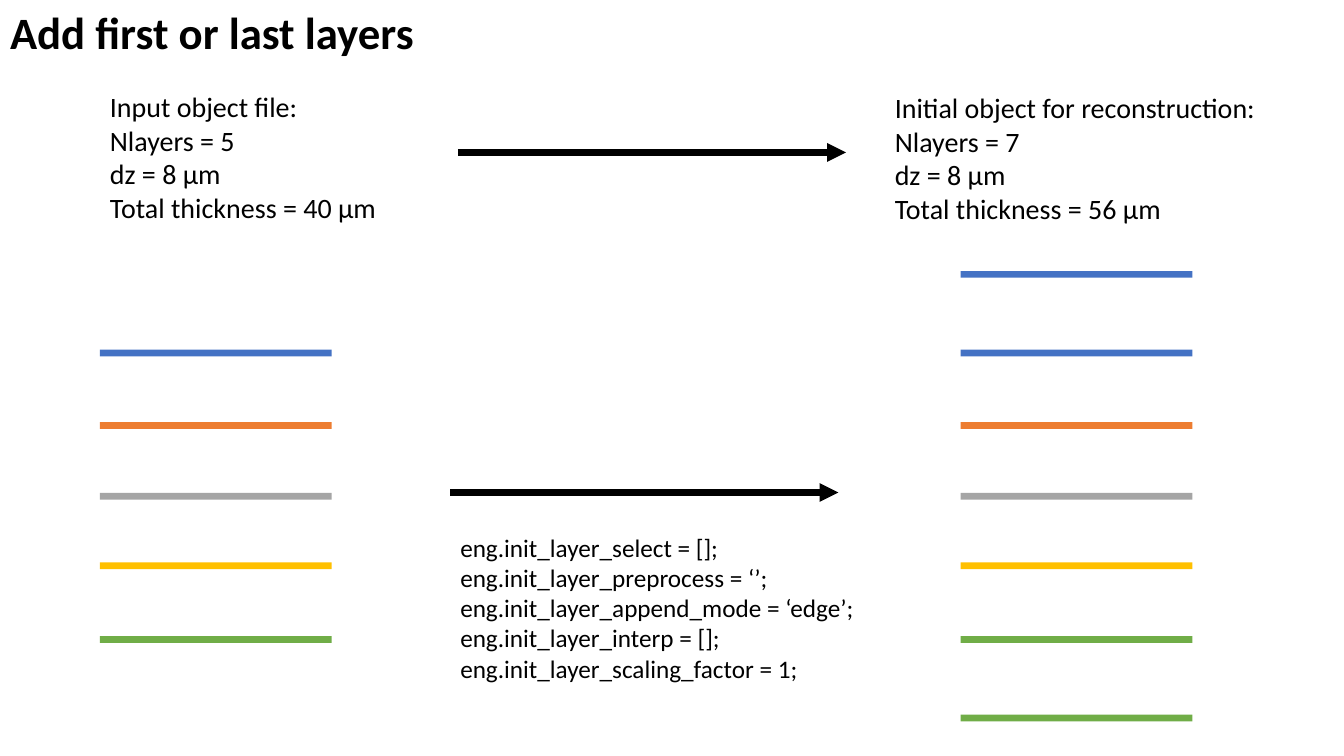
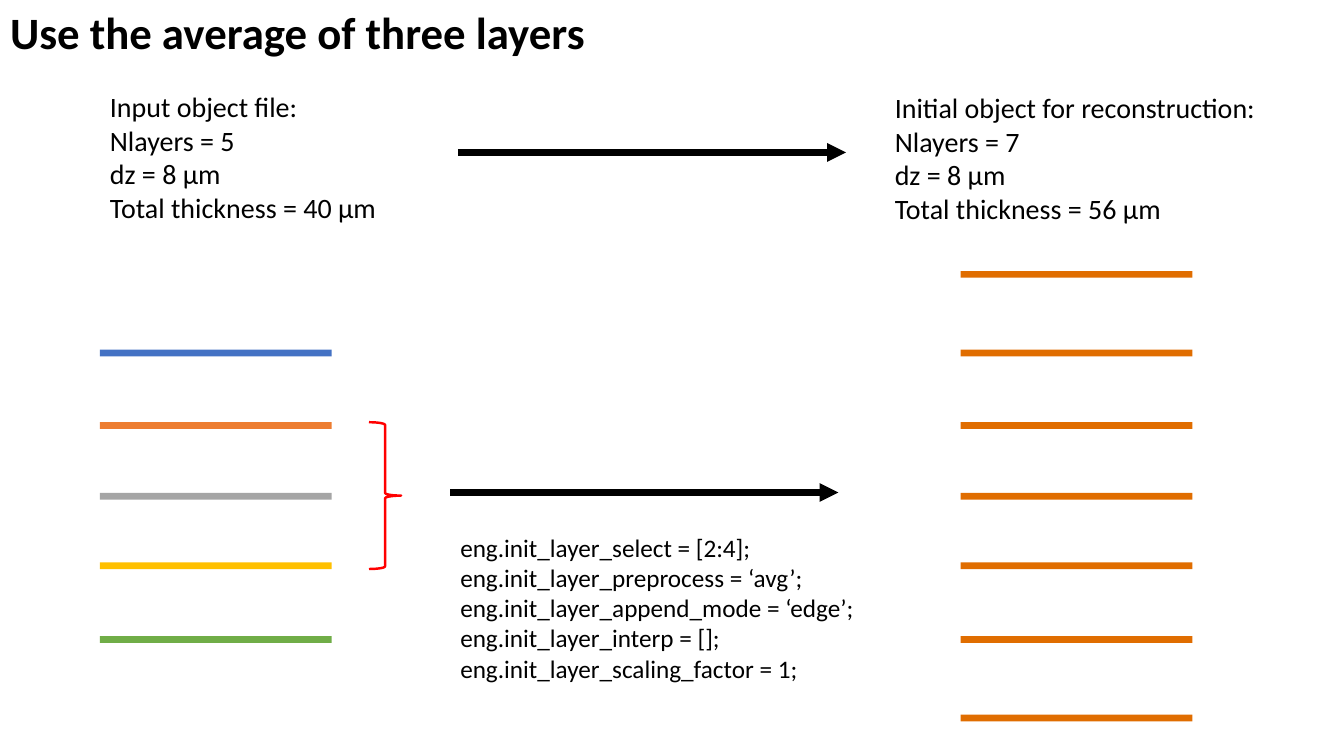
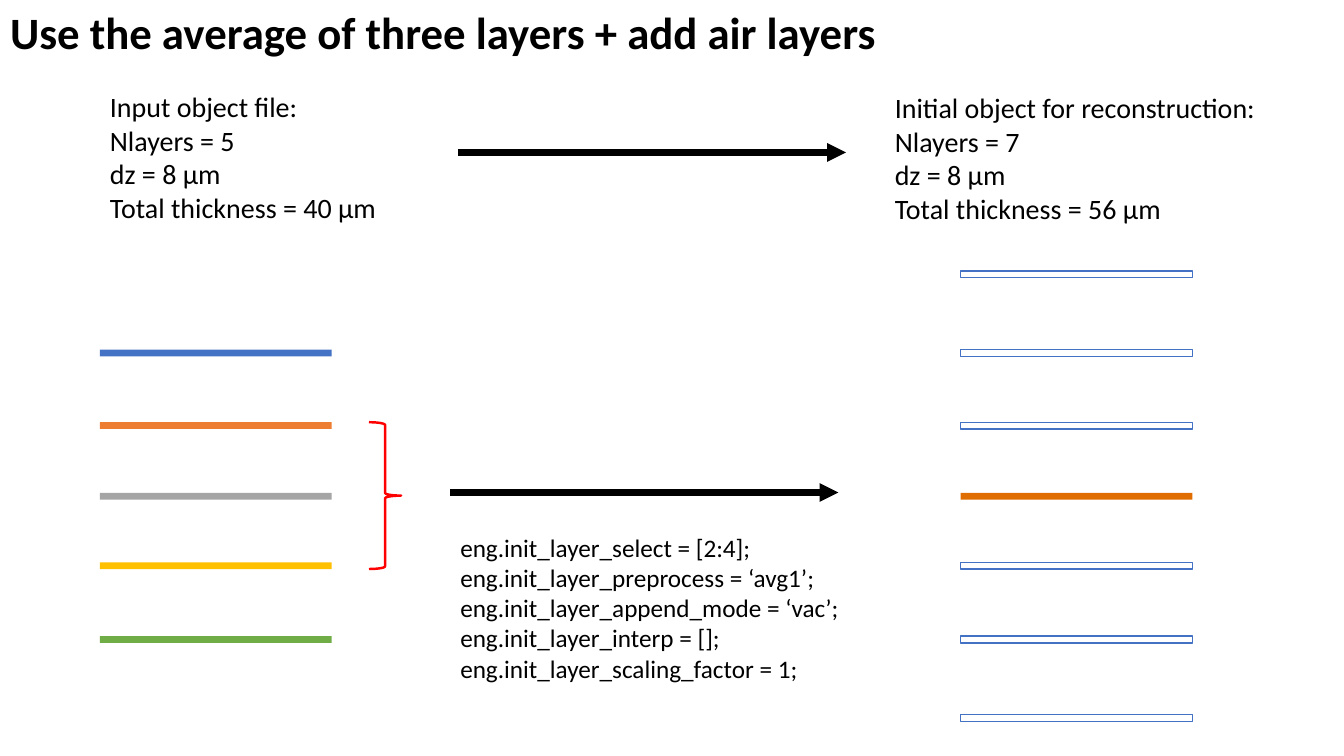
from lxml.etree import SubElement
from pptx import Presentation
from pptx.dml.color import RGBColor
from pptx.enum.shapes import MSO_CONNECTOR as Connector, MSO_SHAPE as Shape
from pptx.enum.text import MSO_ANCHOR as Anchor, MSO_AUTO_SIZE as AutoSize, PP_ALIGN as Align
from pptx.oxml.ns import qn
from pptx.util import Cm, Pt

FONT = "Calibri"
BLACK = RGBColor(0x00, 0x00, 0x00)
WHITE = RGBColor(0xFF, 0xFF, 0xFF)
RED = RGBColor(0xFF, 0x00, 0x00)
BLUE = RGBColor(0x44, 0x72, 0xC4)
ORANGE = RGBColor(0xED, 0x7D, 0x31)
GRAY = RGBColor(0xA5, 0xA5, 0xA5)
YELLOW = RGBColor(0xFF, 0xC0, 0x00)
GREEN = RGBColor(0x70, 0xAD, 0x47)
AVERAGE = RGBColor(0xE0, 0x6D, 0x00)
AIR_EDGE = RGBColor(0x43, 0x72, 0xC5)

INPUT_COLORS = [BLUE, ORANGE, GRAY, YELLOW, GREEN]
LAYER_TOPS = [6.83, 8.81, 10.64, 12.42, 14.17, 16.03, 18.01]
INPUT_TOPS = LAYER_TOPS[1:-1]
LAYER_WIDTH, LAYER_HEIGHT = 5.84, 0.17
INPUT_LEFT, RESULT_LEFT = 2.52, 24.21
ARROW_LENGTH = 9.78

SLIDES = [
    ("Add first or last layers", "[]", "", "edge",
     [BLUE, *INPUT_COLORS, GREEN], False),
    ("Use the average of three layers", "[2:4]", "avg", "edge",
     [AVERAGE] * 7, True),
    ("Use the average of three layers + add air layers", "[2:4]", "avg1", "vac",
     [WHITE] * 3 + [AVERAGE] + [WHITE] * 3, True),
]


def format_text(frame, size, bold=False):
    """Apply the shared font and left alignment to every paragraph."""
    frame.word_wrap = True
    frame.auto_size = AutoSize.NONE
    for para in frame.paragraphs:
        para.alignment = Align.LEFT
        for span in para.runs:
            span.font.name = FONT
            span.font.size = Pt(size)
            span.font.bold = bold
            span.font.color.rgb = BLACK


def place_title(page, text):
    """Put the slide title into the top left corner."""
    title = page.shapes.title
    title.left, title.top, title.width, title.height = Cm(0), Cm(0), Cm(33.86), Cm(1.62)
    title.text_frame.text = text
    title.text_frame.vertical_anchor = Anchor.TOP
    format_text(title.text_frame, 32, bold=True)


def add_lines(page, left, top, width, height, lines, size):
    """Add a text box with one paragraph per line."""
    box = page.shapes.add_textbox(Cm(left), Cm(top), Cm(width), Cm(height))
    box.text_frame.text = "\n".join(lines)
    format_text(box.text_frame, size)


def add_summary(page, left, top, heading, layers, thickness):
    """Describe an object by its layers and thickness."""
    lines = [heading, f"Nlayers = {layers}", "dz = 8 μm",
             f"Total thickness = {thickness} μm"]
    add_lines(page, left, top, 10, 3.68, lines, 20)


def add_arrow(page, left, top):
    """Draw a thick arrow pointing right."""
    arrow = page.shapes.add_connector(
        Connector.STRAIGHT, Cm(left), Cm(top), Cm(left + ARROW_LENGTH), Cm(top))
    arrow.line.color.rgb = BLACK
    arrow.line.width = Pt(4.5)
    SubElement(arrow.line._get_or_add_ln(), qn("a:tailEnd"), type="triangle")
    SubElement(arrow._element.spPr, qn("a:effectLst"))


def add_stack(page, left, tops, colors):
    """Group a stack of layers, outlining the white air layers."""
    stack = page.shapes.add_group_shape()
    for top, color in zip(tops, colors):
        layer = stack.shapes.add_shape(
            Shape.RECTANGLE, Cm(left), Cm(top), Cm(LAYER_WIDTH), Cm(LAYER_HEIGHT))
        layer.shadow.inherit = False
        layer.fill.solid()
        layer.fill.fore_color.rgb = color
        if color == WHITE:
            layer.line.color.rgb = AIR_EDGE
            layer.line.width = Pt(1)
        else:
            layer.line.fill.background()


def add_brace(page, left, first_top, last_top):
    """Mark the layers that are averaged with a red brace."""
    brace = page.shapes.add_shape(
        Shape.RIGHT_BRACE, Cm(left), Cm(first_top), Cm(0.81),
        Cm(last_top + LAYER_HEIGHT - first_top))
    brace.shadow.inherit = False
    brace.fill.background()
    brace.line.color.rgb = RED
    brace.line.width = Pt(1.75)


def add_settings(page, left, top, select, preprocess, append_mode):
    """List the engine settings that transform the layers."""
    settings = [("select", select), ("preprocess", f"‘{preprocess}’"),
                ("append_mode", f"‘{append_mode}’"), ("interp", "[]"),
                ("scaling_factor", "1")]
    lines = [f"eng.init_layer_{name} = {value};" for name, value in settings]
    add_lines(page, left, top, 10.8, 4.11, lines, 18)


def build_slide(deck, title, select, preprocess, append_mode, colors, averaged):
    """Build one slide comparing input layers with the initial object."""
    page = deck.slides.add_slide(deck.slide_layouts[5])
    place_title(page, title)
    add_summary(page, 2.52, 2.13, "Input object file:", 5, 40)
    add_summary(page, 22.3, 2.16, "Initial object for reconstruction:", 7, 56)
    add_arrow(page, 11.54, 3.84)
    add_stack(page, INPUT_LEFT, INPUT_TOPS, INPUT_COLORS)
    add_stack(page, RESULT_LEFT, LAYER_TOPS, colors)
    add_arrow(page, 11.35, 12.41)
    add_settings(page, 11.35, 13.28, select, preprocess, append_mode)
    if averaged:
        add_brace(page, 9.3, INPUT_TOPS[1], INPUT_TOPS[3])


def main():
    """Create and save the deck."""
    deck = Presentation()
    deck.slide_width, deck.slide_height = Cm(33.87), Cm(19.05)
    for content in SLIDES:
        build_slide(deck, *content)
    deck.save("out.pptx")


if __name__ == "__main__":
    main()
